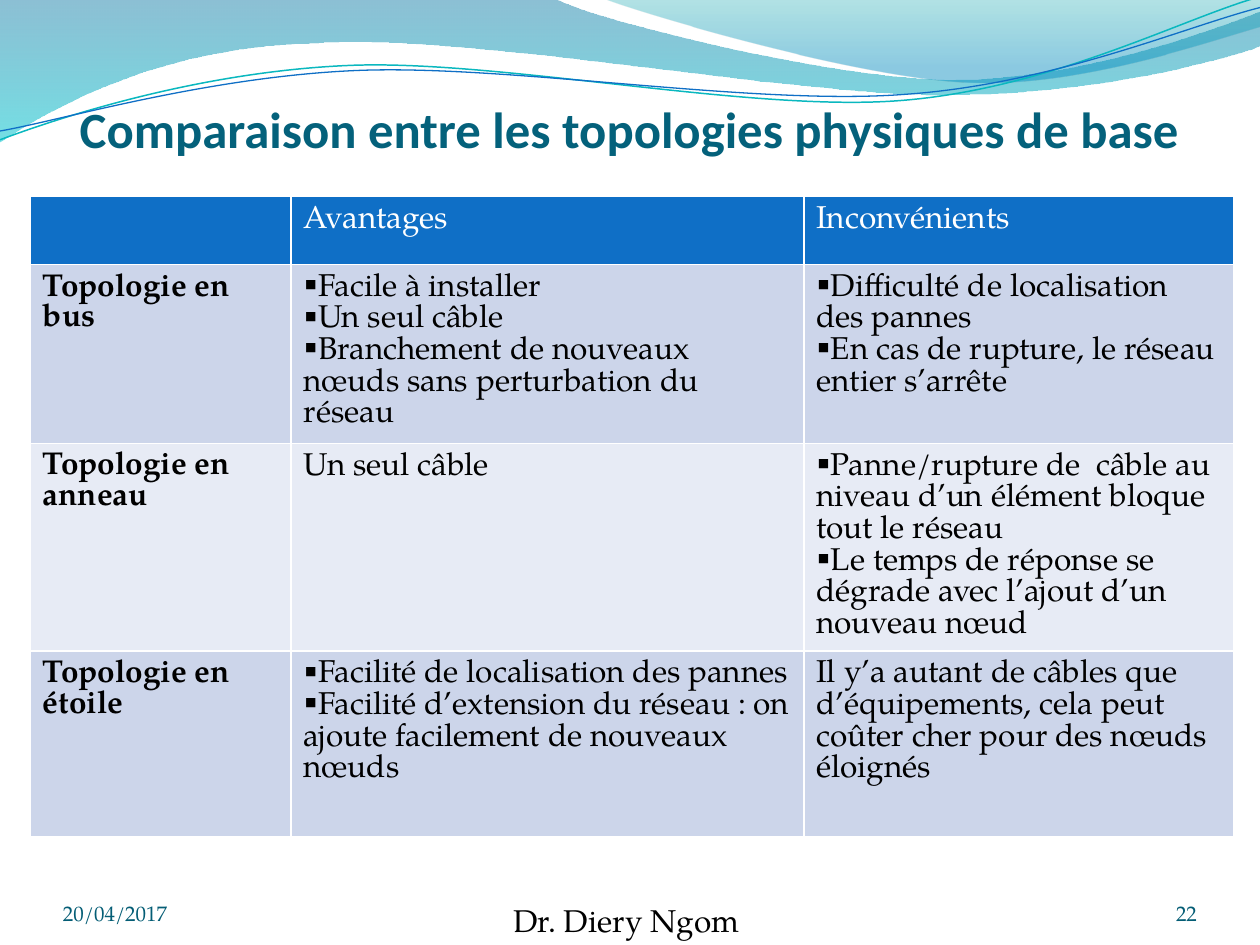
from lxml import etree
from pptx import Presentation
from pptx import util as u
from pptx.dml.color import RGBColor
from pptx.enum import shapes, text
from pptx.oxml.ns import qn

WIDTH, HEIGHT = 10, 7.5
SERIF = "TeX Gyre Pagella"
COLUMNS = (2.07, 4.07, 3.41)
ROWS = (0.54, 1.42, 1.53, 1.47)
ROW_FILLS = ("0F6FC6", "CCD5EA", "E7EBF5", "CCD5EA")
COMPARISON = [
    [[], ["Avantages"], ["Inconvénients"]],
    [["Topologie en bus"],
     ["Facile à installer", "Un seul câble ",
      "Branchement de nouveaux nœuds sans perturbation du réseau"],
     ["Difficulté de localisation des pannes",
      "En cas de rupture, le réseau entier s’arrête "]],
    [["Topologie en anneau"],
     ["Un seul câble"],
     ["Panne/rupture de  câble au niveau d’un élément bloque tout le réseau",
      "Le temps de réponse se dégrade avec l’ajout d’un nouveau nœud"]],
    [["Topologie en étoile"],
     ["Facilité de localisation des pannes",
      "Facilité d’extension du réseau : on ajoute facilement de nouveaux nœuds"],
     ["Il y’a autant de câbles que d’équipements, cela peut coûter cher "
      "pour des nœuds éloignés"]],
]
BROAD_WAVE = [
    (0, 0), (4.4, -0.01),
    (4.76, 0.17, 6.64, 0.63, 7.58, 0.63), (8.53, 0.63, 9.58, 0.26, 10, 0.09),
    (10.01, 0.36),
    (9.83, 0.44, 8.7, 0.76, 7.46, 0.75), (6.22, 0.75, 3.82, 0.28, 2.57, 0.34),
    (1.29, 0.36, 0.46, 0.83, -0.01, 1.13), (0, 0)]
RIGHT_WAVE = [
    (4.79, -0.01),
    (5.09, 0.11, 6.82, 0.62, 7.69, 0.65), (8.56, 0.69, 9.61, 0.32, 10, 0.21),
    (10, 0), (4.79, -0.01)]
TEAL_STRAND = [
    (0, 1.11),
    (0.48, 0.93, 1.58, 0.57, 2.77, 0.52), (3.95, 0.47, 5.93, 0.89, 7.13, 0.8),
    (8.33, 0.71, 9.38, 0.15, 9.98, -0.02)]
BLUE_STRAND = [
    (0, 1.04),
    (0.47, 0.96, 1.64, 0.61, 2.83, 0.56), (4.03, 0.51, 5.97, 0.84, 7.17, 0.75),
    (8.36, 0.67, 9.41, 0.21, 10, 0.06)]


def color(value):
    return RGBColor.from_string(value)


def bend(curve, segment, step):
    segment.tag = qn("a:cubicBezTo")
    for index in (0, 2):
        x, y = map(u.Inches, step[index:index + 2])
        control = etree.Element(qn("a:pt"), x=str(x - curve.left), y=str(y - curve.top))
        segment.insert(index // 2, control)


def add_curve(slide, steps, closed):
    knots = [tuple(map(u.Inches, step[-2:])) for step in steps]
    builder = slide.shapes.build_freeform(*knots[0])
    builder.add_line_segments(knots[1:], close=closed)
    curve = builder.convert_to_shape()
    curve.shadow.inherit = False
    segments = list(curve._element.spPr.iter(qn("a:lnTo")))
    for segment, step in zip(segments, steps[1:]):
        if len(step) == 6:
            bend(curve, segment, step)
    return curve


def add_wave(slide, steps, stops):
    wave = add_curve(slide, steps, True)
    wave.line.fill.background()
    wave.fill.gradient()
    wave.fill.gradient_angle = 270
    for stop, (position, tint, _) in zip(wave.fill.gradient_stops, stops):
        stop.color.rgb = color(tint)
        stop.position = position
    tints = wave._element.spPr.iter(qn("a:srgbClr"))
    for tint, (_, _, opacity) in zip(list(tints), stops):
        etree.SubElement(tint, qn("a:alpha"), val=str(opacity * 1000))


def add_strand(slide, steps, tint, width):
    strand = add_curve(slide, steps, False)
    strand.fill.background()
    strand.line.color.rgb = color(tint)
    strand.line.width = u.Pt(width)


def add_run(paragraph, words, size, tint, font=SERIF, bold=False):
    run = paragraph.add_run()
    run.text = words
    run.font.size = u.Pt(size)
    run.font.name = font
    run.font.bold = bold
    run.font.color.rgb = color(tint)


def add_label(slide, box, words, size, tint, align, font=SERIF, bold=False, top_inset=0):
    label = slide.shapes.add_textbox(*map(u.Inches, box))
    frame = label.text_frame
    frame.word_wrap = True
    frame.vertical_anchor = text.MSO_ANCHOR.BOTTOM
    frame.margin_left = frame.margin_right = frame.margin_bottom = 0
    frame.margin_top = u.Inches(top_inset)
    frame.paragraphs[0].alignment = align
    add_run(frame.paragraphs[0], words, size, tint, font, bold)


def add_author(slide, box, words):
    author = slide.shapes.add_shape(shapes.MSO_SHAPE.RECTANGLE, *map(u.Inches, box))
    author.shadow.inherit = False
    author.fill.solid()
    author.fill.fore_color.rgb = color("FFFFFF")
    author.line.fill.background()
    author.text_frame.word_wrap = True
    author.text_frame.vertical_anchor = text.MSO_ANCHOR.TOP
    paragraph = author.text_frame.paragraphs[0]
    paragraph.alignment = text.PP_ALIGN.CENTER
    add_run(paragraph, words, 18, "000000")


def set_borders(cell):
    properties = cell._tc.get_or_add_tcPr()
    for index, side in enumerate(("a:lnL", "a:lnR", "a:lnT", "a:lnB")):
        border = etree.Element(qn(side), w=str(u.Pt(1)))
        fill = etree.SubElement(border, qn("a:solidFill"))
        etree.SubElement(fill, qn("a:srgbClr"), val="FFFFFF")
        properties.insert(index, border)


def add_bullet(paragraph):
    properties = paragraph._p.get_or_add_pPr()
    properties.set("marL", "0")
    properties.set("indent", "0")
    etree.SubElement(properties, qn("a:buFont"), typeface="Wingdings",
                     pitchFamily="2", charset="2")
    etree.SubElement(properties, qn("a:buChar"), char="§")


def fill_cell(cell, items, is_header, is_topology, background):
    cell.fill.solid()
    cell.fill.fore_color.rgb = color(background)
    cell.margin_left = cell.margin_right = u.Inches(0.1)
    cell.margin_top = cell.margin_bottom = u.Inches(0.07)
    set_borders(cell)
    frame = cell.text_frame
    for index, item in enumerate(items):
        paragraph = frame.add_paragraph() if index else frame.paragraphs[0]
        if len(items) > 1:
            add_bullet(paragraph)
        add_run(paragraph, item, 18, "FFFFFF" if is_header else "000000", bold=is_topology)


def add_comparison(slide, left, top):
    box = map(u.Inches, (left, top, sum(COLUMNS), sum(ROWS)))
    table = slide.shapes.add_table(len(ROWS), len(COLUMNS), *box).table
    for column, width in zip(table.columns, COLUMNS):
        column.width = u.Inches(width)
    for r, height in enumerate(ROWS):
        table.rows[r].height = u.Inches(height)
        for c, items in enumerate(COMPARISON[r]):
            fill_cell(table.cell(r, c), items, r == 0, c == 0, ROW_FILLS[r])


def main():
    deck = Presentation()
    deck.slide_width, deck.slide_height = u.Inches(WIDTH), u.Inches(HEIGHT)
    slide = deck.slides.add_slide(deck.slide_layouts[6])
    align = text.PP_ALIGN
    add_wave(slide, BROAD_WAVE, [(0, "0074A1", 45), (1, "00C6CF", 55)])
    add_wave(slide, RIGHT_WAVE, [(0, "00A1A9", 30), (0.8, "008BBF", 45)])
    add_strand(slide, TEAL_STRAND, "0AB8BF", 0.85)
    add_strand(slide, BLUE_STRAND, "0F6FC6", 0.75)
    add_comparison(slide, 0.24, 1.56)
    add_label(slide, (0, 0.78, WIDTH, 0.48),
              "Comparaison entre les topologies physiques de base",
              29, "04617B", align.CENTER, "Calibri", True, 0.05)
    add_author(slide, (3.91, 7.1, 2.12, 0.4), "Dr. Diery Ngom")
    add_label(slide, (0.5, 6.95, 2.33, 0.4), "20/04/2017", 12, "045D75", align.LEFT)
    add_label(slide, (8.67, 6.95, 0.83, 0.4), "22", 12, "045D75", align.RIGHT)
    deck.save("out.pptx")


main()
